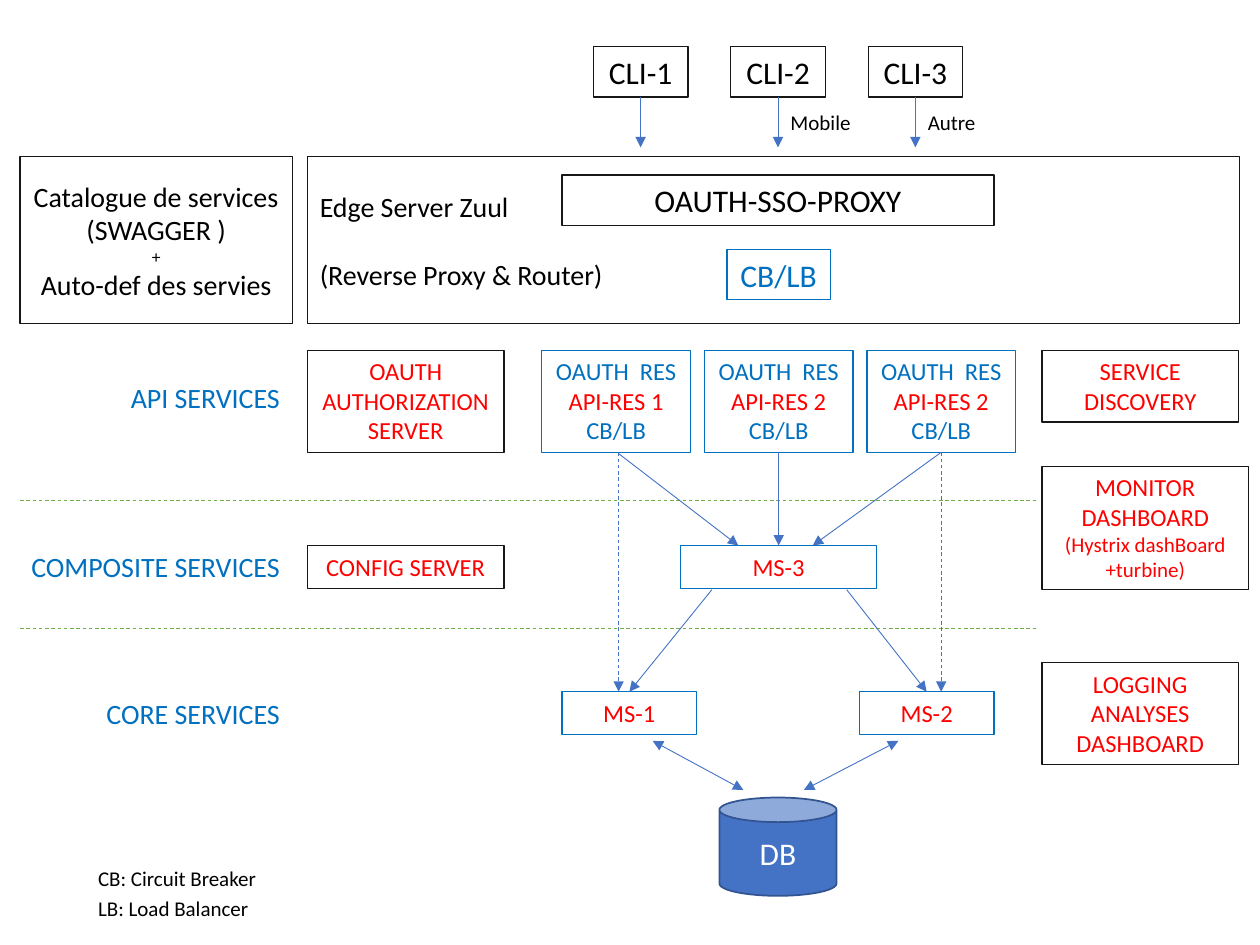
from lxml.etree import SubElement
from pptx import Presentation
from pptx.dml.color import RGBColor
from pptx.enum.dml import MSO_LINE
from pptx.enum.shapes import MSO_CONNECTOR, MSO_SHAPE
from pptx.enum.text import MSO_ANCHOR, MSO_AUTO_SIZE, PP_ALIGN
from pptx.oxml.ns import qn
from pptx.util import Inches, Pt

BLACK = RGBColor(0x00, 0x00, 0x00)
WHITE = RGBColor(0xFF, 0xFF, 0xFF)
INK = RGBColor(0x18, 0x17, 0x17)
RED = RGBColor(0xFF, 0x00, 0x00)
BLUE = RGBColor(0x00, 0x70, 0xC0)
STEEL = RGBColor(0x44, 0x72, 0xC4)
NAVY = RGBColor(0x32, 0x54, 0x91)
GREEN = RGBColor(0x70, 0xAD, 0x47)

LEFT, CENTER, RIGHT = PP_ALIGN.LEFT, PP_ALIGN.CENTER, PP_ALIGN.RIGHT
TOP, BOTTOM = 0, 2


class Diagram:
    font = "Calibri"

    def __init__(self, slide):
        self.s = slide

    def set_text(self, sp, lines, size, color, align, grow=True, gap=0):
        """Each line is a string or a (string, format dict) pair."""
        tf = sp.text_frame
        frame = {
            "word_wrap": True,
            "auto_size": MSO_AUTO_SIZE.SHAPE_TO_FIT_TEXT if grow else MSO_AUTO_SIZE.NONE,
            "vertical_anchor": MSO_ANCHOR.TOP if grow else MSO_ANCHOR.MIDDLE,
        }
        for name, value in frame.items():
            setattr(tf, name, value)
        for i, line in enumerate(lines):
            text, extra = (line, {}) if isinstance(line, str) else line
            fmt = {"name": self.font, "size": size, "color": color, **extra}
            p = tf.paragraphs[0] if i == 0 else tf.add_paragraph()
            p.alignment = align
            if i and gap:
                p.space_before = Pt(gap)
            r = p.add_run()
            r.text = text
            r.font.color.rgb = fmt.pop("color")
            fmt["size"] = Pt(fmt["size"])
            for name, value in fmt.items():
                setattr(r.font, name, value)

    def box(self, x, y, w, h, *lines, size=14, color=RED, line=INK, weight=0.75,
            fill=None, kind=MSO_SHAPE.RECTANGLE, align=CENTER, grow=True, gap=0):
        sp = self.s.shapes.add_shape(kind, Inches(x), Inches(y), Inches(w), Inches(h))
        sp.shadow.inherit = False
        if fill is None:
            sp.fill.background()
        else:
            sp.fill.solid()
            sp.fill.fore_color.rgb = fill
        sp.line.color.rgb = line
        sp.line.width = Pt(weight)
        self.set_text(sp, lines, size, color, align, grow, gap)
        return sp

    def label(self, x, y, w, h, text, size=12, color=BLACK, align=LEFT):
        sp = self.s.shapes.add_textbox(Inches(x), Inches(y), Inches(w), Inches(h))
        self.set_text(sp, [text], size, color, align)

    def line(self, start, end, color=STEEL, dash=False, head=False, tail=True,
             begin=None, finish=None):
        """begin and finish are (shape, side) pairs to join."""
        cx = self.s.shapes.add_connector(
            MSO_CONNECTOR.STRAIGHT, *(Inches(v) for v in (*start, *end)))
        cx.line.color.rgb = color
        cx.line.width = Pt(0.5)
        if dash:
            cx.line.dash_style = MSO_LINE.DASH
        ln = cx._element.spPr.find(qn("a:ln"))
        for tag, wanted in (("a:headEnd", head), ("a:tailEnd", tail)):
            if wanted:
                SubElement(ln, qn(tag)).set("type", "triangle")
        SubElement(cx._element.spPr, qn("a:effectLst"))
        if begin:
            cx.begin_connect(*begin)
        if finish:
            cx.end_connect(*finish)


def main():
    prs = Presentation()
    prs.slide_width, prs.slide_height = Inches(10), Inches(7.5)
    d = Diagram(prs.slides.add_slide(prs.slide_layouts[6]))

    # Clients and their calls to the edge server
    for i, note in enumerate(("", "Mobile", "Autre")):
        x = 4.71 + 1.09 * i
        mid = x + 0.375
        client = d.box(x, 0.37, 0.75, 0.4, f"CLI-{i + 1}", size=18, color=BLACK)
        d.line((mid, 0.77), (mid, 1.17), begin=(client, BOTTOM))
        if note:
            d.label(mid, 0.82, 0.75, 0.3, note)

    # Service catalogue and edge server
    d.box(0.16, 1.24, 2.16, 1.33, "Catalogue de services", "(SWAGGER )",
          ("+", {"size": 10}), "Auto-def des servies", size=16, color=BLACK, grow=False)
    d.box(2.44, 1.24, 7.4, 1.33, "Edge Server Zuul", "(Reverse Proxy & Router)",
          size=16, color=BLACK, align=LEFT, grow=False, gap=19.5)
    d.box(4.46, 1.39, 3.43, 0.4, "OAUTH-SSO-PROXY", size=18, color=BLACK)
    d.box(5.77, 1.98, 0.82, 0.4, "CB/LB", size=18, color=BLUE, line=BLUE)

    # Layer names and separators
    for y, name in ((2.97, "API SERVICES"), (4.31, "COMPOSITE SERVICES"),
                    (5.48, "CORE SERVICES")):
        d.label(0.12, y, 2.2, 0.37, name, size=16, color=BLUE, align=RIGHT)
    for y in (3.97, 4.99):
        d.line((0.16, y), (8.23, y), color=GREEN, dash=True, tail=False)

    # Support servers
    d.box(2.44, 2.78, 1.56, 0.81, "OAUTH AUTHORIZATION SERVER")
    d.box(2.44, 4.33, 1.56, 0.34, "CONFIG SERVER")
    d.box(8.27, 2.78, 1.56, 0.57, "SERVICE DISCOVERY")
    d.box(8.27, 3.7, 1.64, 0.98, "MONITOR DASHBOARD",
          ("(Hystrix dashBoard +turbine)", {"size": 12}))
    d.box(8.27, 5.26, 1.56, 0.81, "LOGGING ANALYSES DASHBOARD")

    # API resources, microservices and database
    apis = [d.box(4.3 + 1.29 * i, 2.78, 1.18, 0.81, "OAUTH  RES",
                  (f"API-RES {n}", {"color": RED}), "CB/LB", color=BLUE, line=BLUE)
            for i, n in enumerate((1, 2, 2))]
    ms1, ms2, ms3 = [d.box(x, y, w, 0.34, name, line=BLUE) for x, y, w, name in (
        (4.46, 5.49, 1.07, "MS-1"), (6.82, 5.49, 1.07, "MS-2"), (5.4, 4.33, 1.56, "MS-3"))]
    d.box(5.71, 6.33, 0.93, 0.78, "DB", size=18, color=WHITE, line=NAVY, weight=1,
          fill=STEEL, kind=MSO_SHAPE.CAN, grow=False)

    # API resources to the composite service
    d.line((4.91, 3.6), (5.86, 4.33))
    d.line((6.18, 3.59), (6.18, 4.33), begin=(apis[1], BOTTOM), finish=(ms3, TOP))
    d.line((7.47, 3.59), (6.45, 4.33), begin=(apis[2], BOTTOM))

    # Direct and composite calls to the core services
    d.line((4.91, 3.59), (4.91, 5.49), dash=True)
    d.line((7.47, 3.59), (7.47, 5.49), dash=True, begin=(apis[2], BOTTOM))
    d.line((5.65, 4.68), (4.99, 5.49), finish=(ms1, TOP))
    d.line((6.72, 4.68), (7.36, 5.49), finish=(ms2, TOP))

    # Core services and database, both ways
    d.line((5.18, 5.88), (5.9, 6.27), head=True)
    d.line((6.38, 6.27), (7.13, 5.88), head=True)

    # Legend
    for y, text in ((6.82, "CB: Circuit Breaker"), (7.06, "LB: Load Balancer")):
        d.label(0.68, y, 1.51, 0.3, text)

    prs.save("out.pptx")


if __name__ == "__main__":
    main()
